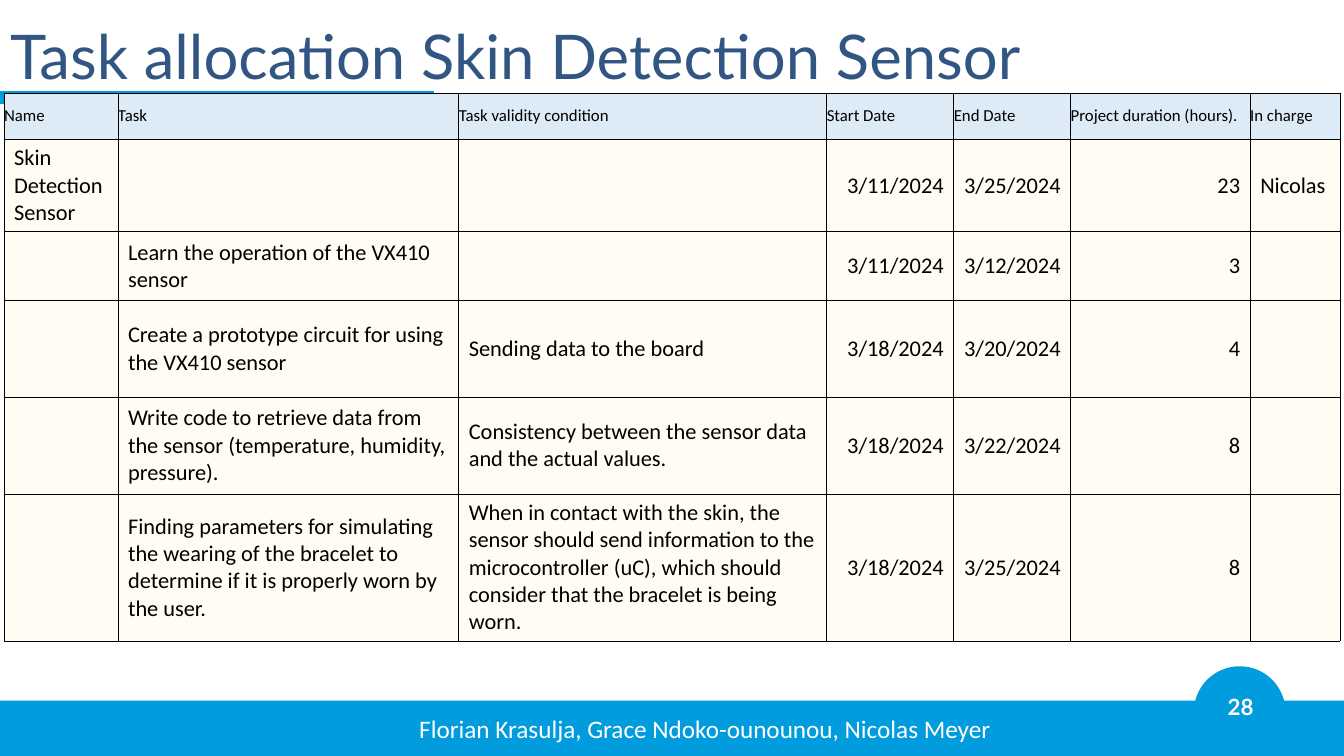
from collections import namedtuple

from lxml.etree import SubElement
from pptx import Presentation
from pptx.dml.color import RGBColor
from pptx.enum.shapes import MSO_CONNECTOR as Connector, MSO_SHAPE as Shape
from pptx.enum.text import MSO_ANCHOR as Anchor, MSO_AUTO_SIZE as AutoSize, PP_ALIGN as Align
from pptx.oxml.ns import qn
from pptx.oxml.xmlchemy import OxmlElement
from pptx.util import Pt

PX = 9144  # EMU per px: 100 px to the inch
Box = namedtuple("Box", "left top width height")

COLORS = {
    "accent": "009CDD",
    "title": "315683",
    "white": "FFFFFF",
    "black": "000000",
    "header": "DDEBF7",
    "body": "FFF2CC",
}
BODY_OPACITY = 20  # percent

COLUMN_WIDTHS = [113, 338, 365, 126, 116, 178, 89]
ROW_HEIGHTS = [45, 92, 68, 96, 96, 146]
RIGHT_ALIGNED_COLUMNS = {3, 4, 5}
TASKS = [
    ["Name", "Task", "Task validity condition", "Start Date", "End Date",
     "Project duration (hours).", "In charge"],
    ["Skin Detection Sensor", "", "", "3/11/2024", "3/25/2024", "23", "Nicolas"],
    ["", "Learn the operation of the VX410 sensor", "",
     "3/11/2024", "3/12/2024", "3", ""],
    ["", "Create a prototype circuit for using the VX410 sensor",
     "Sending data to the board", "3/18/2024", "3/20/2024", "4", ""],
    ["", "Write code to retrieve data from the sensor (temperature, humidity, pressure).",
     "Consistency between the sensor data and the actual values.",
     "3/18/2024", "3/22/2024", "8", ""],
    ["", "Finding parameters for simulating the wearing of the bracelet to determine "
     "if it is properly worn by the user.",
     "When in contact with the skin, the sensor should send information to the "
     "microcontroller (uC), which should consider that the bracelet is being worn.",
     "3/18/2024", "3/25/2024", "8", ""],
]


def rgb(name):
    return RGBColor.from_string(COLORS[name])


def emu(*lengths):
    return [length * PX for length in lengths]


def write(text_frame, text, font, size, color, align=Align.LEFT, bold=False):
    text_frame.text = text
    paragraph = text_frame.paragraphs[0]
    paragraph.alignment = align
    for run in paragraph.runs:
        run.font.name = font
        run.font.size = Pt(size)
        run.font.bold = bold
        run.font.color.rgb = rgb(color)


def add_accent_shape(slide, kind, box):
    shape = slide.shapes.add_shape(kind, *emu(*box))
    shape.shadow.inherit = False
    shape.fill.solid()
    shape.fill.fore_color.rgb = rgb("accent")
    shape.line.fill.background()


def add_label(slide, box, text, font, size, **style):
    text_frame = slide.shapes.add_textbox(*emu(*box)).text_frame
    text_frame.word_wrap = True
    write(text_frame, text, font, size, "white", **style)


def add_footer(slide, box):
    """Draw the band with the authors and the round page number above it."""
    badge = Box(box.left + 1184, box.top - 34, 91, 91)
    add_accent_shape(slide, Shape.RECTANGLE, box)
    add_accent_shape(slide, Shape.OVAL, badge)
    add_label(slide, Box(badge.left + 7, badge.top + 22, 79, 33), "28", "Lato", 16,
              align=Align.CENTER, bold=True)
    add_label(slide, Box(box.left + 406, box.top + 8, 670, 40),
              "Florian Krasulja, Grace Ndoko-ounounou, Nicolas Meyer", "Calibri", 18)


def add_heading(slide, box):
    """Fill the title placeholder and underline its start."""
    title = slide.shapes.title
    title.left, title.top, title.width, title.height = emu(*box)
    text_frame = title.text_frame
    text_frame.auto_size = AutoSize.NONE
    text_frame.word_wrap = True
    text_frame.vertical_anchor = Anchor.MIDDLE
    write(text_frame, "Task allocation Skin Detection Sensor", "Lato", 44, "title")
    text_frame.paragraphs[0].line_spacing = 0.9

    line_y = box.top + 97
    underline = slide.shapes.add_connector(
        Connector.STRAIGHT, *emu(box.left, line_y, box.left + 430, line_y))
    underline.line.color.rgb = rgb("accent")
    underline.line.width = Pt(9)
    SubElement(underline.element.spPr, qn("a:effectLst"))


def set_borders(cell):
    properties = cell._tc.get_or_add_tcPr()
    for index, side in enumerate(["a:lnL", "a:lnR", "a:lnT", "a:lnB"]):
        line = OxmlElement(side)
        line.set("w", str(Pt(0.5)))
        fill = SubElement(line, qn("a:solidFill"))
        SubElement(fill, qn("a:srgbClr"), val=COLORS["black"])
        properties.insert(index, line)


def fill_cell(cell, color, opacity=100):
    cell.fill.solid()
    cell.fill.fore_color.rgb = rgb(color)
    if opacity < 100:
        color_element = cell._tc.tcPr.find(".//" + qn("a:srgbClr"))
        SubElement(color_element, qn("a:alpha"), val=str(opacity * 1000))


def format_header_cell(cell, text):
    cell.margin_left = cell.margin_right = cell.margin_top = 0
    cell.margin_bottom = 2 * PX
    write(cell.text_frame, text, "Calibri", 12, "black")
    fill_cell(cell, "header")


def format_task_cell(cell, text, align):
    write(cell.text_frame, text, "Calibri", 16, "black", align)
    fill_cell(cell, "body", BODY_OPACITY)


def add_task_table(slide, left, top):
    box = Box(left, top, sum(COLUMN_WIDTHS), sum(ROW_HEIGHTS))
    table = slide.shapes.add_table(len(TASKS), len(COLUMN_WIDTHS), *emu(*box)).table
    table.first_row = table.horz_banding = False
    for column, width in zip(table.columns, COLUMN_WIDTHS):
        column.width = width * PX
    for row, height in zip(table.rows, ROW_HEIGHTS):
        row.height = height * PX
    for row_index, texts in enumerate(TASKS):
        for column_index, text in enumerate(texts):
            cell = table.cell(row_index, column_index)
            cell.vertical_anchor = Anchor.MIDDLE
            if row_index == 0:
                format_header_cell(cell, text)
            else:
                align = Align.RIGHT if column_index in RIGHT_ALIGNED_COLUMNS else Align.LEFT
                format_task_cell(cell, text, align)
            set_borders(cell)


def main():
    presentation = Presentation()
    presentation.slide_width, presentation.slide_height = emu(1333, 750)
    title_only = presentation.slide_layouts[5]
    slide = presentation.slides.add_slide(title_only)
    add_footer(slide, Box(0, 695, 1333, 55))
    add_heading(slide, Box(0, 0, 1150, 118))
    add_task_table(slide, 4, 93)
    presentation.save("out.pptx")


if __name__ == "__main__":
    main()
